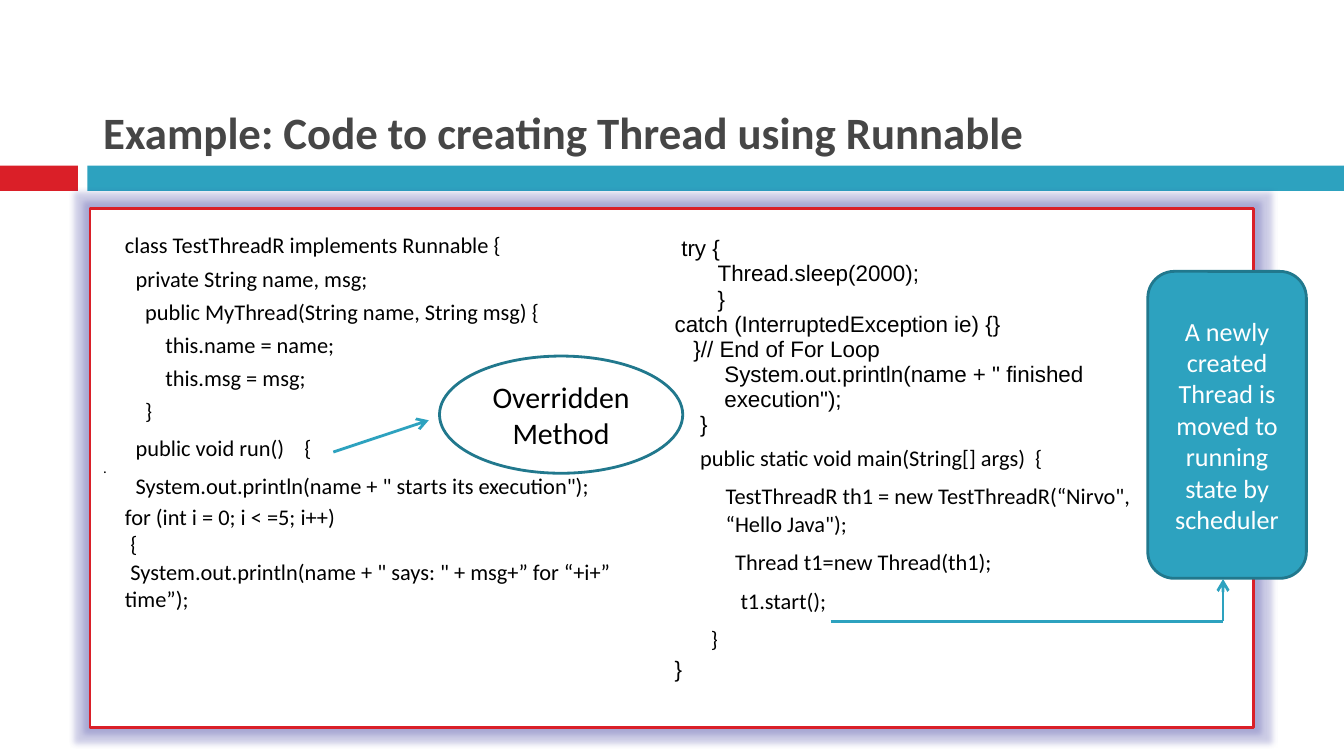
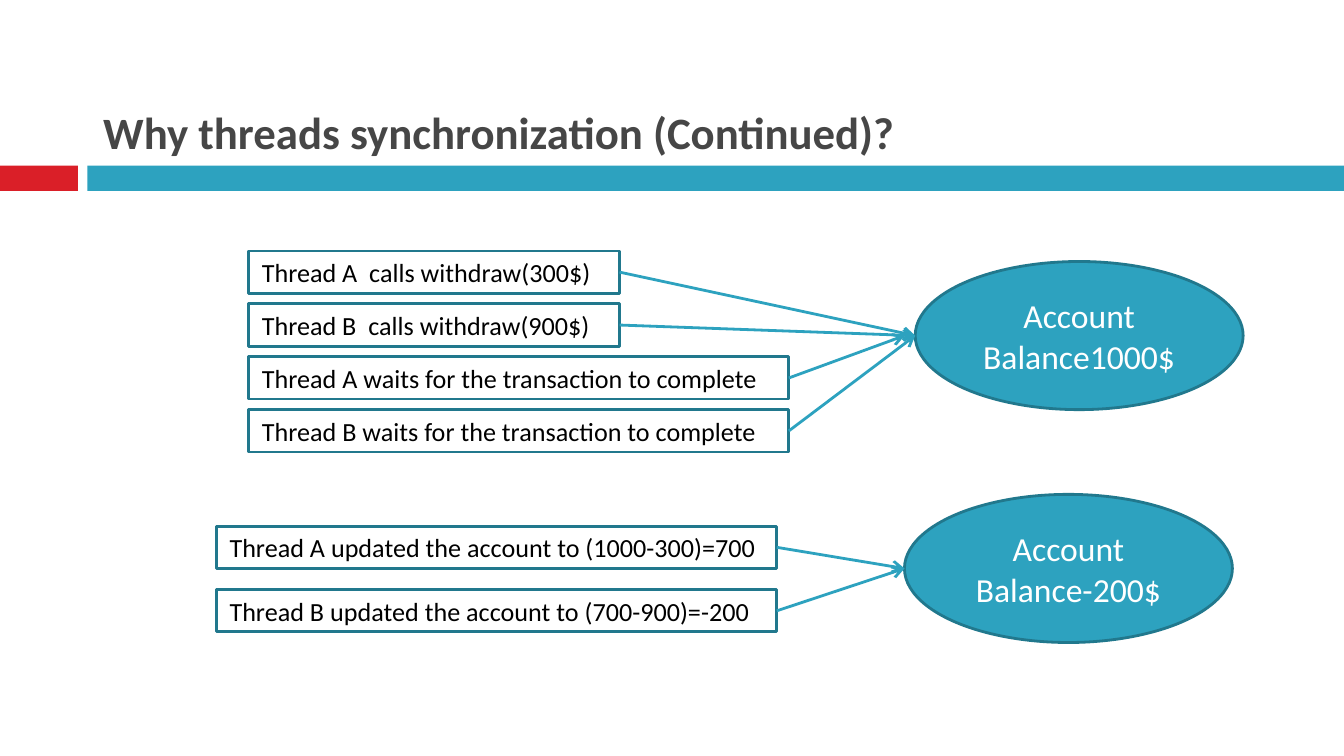
import pptx
import pptx.util
import pptx.dml.color
import pptx.enum.shapes
import pptx.enum.text
import pptx.oxml
import pptx.oxml.ns

RED, TEAL, DARK_TEAL = "DA1F28", "2DA2BF", "21788D"
WHITE, BLACK, TITLE_GRAY = "FFFFFF", "000000", "464646"
NAMESPACE = pptx.oxml.ns.nsdecls("a")
SHAPES = pptx.enum.shapes.MSO_SHAPE
ALIGN = pptx.enum.text.PP_ALIGN
ANCHOR = pptx.enum.text.MSO_ANCHOR

presentation = pptx.Presentation()
presentation.slide_width = pptx.util.Inches(10)
presentation.slide_height = pptx.util.Inches(5.625)
column = presentation.slide_width / 100
row = presentation.slide_height / 100


def paint(fill, color):
    if color is None:
        fill.background()
        return
    fill.solid()
    fill.fore_color.rgb = pptx.dml.color.RGBColor.from_string(color)


def add_box(slide, kind, place, fill=None, line=None, text="", color=BLACK, anchor=ANCHOR.MIDDLE,
            alignment=ALIGN.LEFT, size=14, bold=False):
    left, top, width, height = place
    shape = slide.shapes.add_shape(kind, int(left * column), int(top * row),
                                   int(width * column), int(height * row))
    shape.shadow.inherit = False
    paint(shape.fill, fill)
    paint(shape.line.fill, line)
    if line:
        shape.line.width = pptx.util.Pt(1.5)
    if text:
        shape.text_frame.word_wrap = True
        shape.text_frame.vertical_anchor = anchor
        paragraph = shape.text_frame.paragraphs[0]
        paragraph.text = text
        paragraph.alignment = alignment
        font_format = {"name": "Calibri", "size": pptx.util.Pt(size), "bold": bold}
        for name, value in font_format.items():
            setattr(paragraph.runs[0].font, name, value)
        paint(paragraph.runs[0].font.fill, color)
    return shape


slides = []
for title in ("Example: Code to creating Thread using Runnable",
              "Why threads synchronization (Continued)?"):
    slide = presentation.slides.add_slide(presentation.slide_layouts[6])
    add_box(slide, SHAPES.RECTANGLE, (0, 21.9, 5.8, 3.35), RED)
    add_box(slide, SHAPES.RECTANGLE, (6.5, 21.9, 93.5, 3.35), TEAL)
    add_box(slide, SHAPES.RECTANGLE, (6.7, 2.3, 93.3, 19.6), text=title, color=TITLE_GRAY,
            anchor=ANCHOR.BOTTOM, size=24, bold=True)
    slides.append(slide)
code_slide, account_slide = slides

panel = add_box(code_slide, SHAPES.RECTANGLE, (6.7, 27.6, 86.6, 68.6), WHITE, RED, ".", size=8)
panel.text_frame.paragraphs[0].space_before = pptx.util.Pt(7)
effects = panel._element.spPr.find(pptx.oxml.ns.qn("a:effectLst"))
effects.append(pptx.oxml.parse_xml(
    f'<a:glow {NAMESPACE} rad="76200"><a:srgbClr val="39399D">'
    '<a:alpha val="25000"/></a:srgbClr></a:glow>'))

PLAIN = {"line_spacing": 1.0}
SPACED = {"line_spacing": 1.0, "space_before": pptx.util.Pt(4.2), "space_after": pptx.util.Pt(1.8)}
TIGHT = {**SPACED, "line_spacing": 0.8}
WIDE_SPACE = "\t"
code_columns = (
    (
        (0, "class TestThreadR implements Runnable {", "Calibri", TIGHT),
        (0.08, "private String name, msg;", "Calibri", TIGHT),
        (0.15, "public MyThread(String name, String msg) {", "Calibri", TIGHT),
        (0.3, "this.name = name;", "Calibri", TIGHT),
        (0.3, "this.msg = msg;", "Calibri", TIGHT),
        (0.15, "}", "Calibri", TIGHT),
        (0.08, f"public void run(){WIDE_SPACE}{{", "Calibri", SPACED),
        (0.08, 'System.out.println(name + " starts its execution");', "Calibri", SPACED),
        (0, "for (int i = 0; i < =5; i++)", "Calibri", PLAIN),
        (0.04, "{", "Calibri", PLAIN),
        (0.04, 'System.out.println(name + " says: " + msg+” for “+i+” time”);', "Calibri",
         {**PLAIN, "hanging": 0.04}),
    ),
    (
        (0.05, "try {", "Arial", PLAIN),
        (0.32, "Thread.sleep(2000);", "Arial", PLAIN),
        (0.32, "}", "Arial", PLAIN),
        (0, "catch (InterruptedException ie) {}", "Arial", PLAIN),
        (0.14, "}// End of For Loop", "Arial", PLAIN),
        (0.37, 'System.out.println(name + " finished', "Arial", PLAIN),
        (0.37, 'execution");', "Arial", PLAIN),
        (0.19, "}", "Arial", PLAIN),
        (0.19, "public static void main(String[] args)  {", "Calibri", SPACED),
        (0.38, 'TestThreadR th1 = new TestThreadR(“Nirvo", “Hello Java");', "Calibri", SPACED),
        (0.45, "Thread t1=new Thread(th1);", "Calibri", SPACED),
        (0.49, "t1.start();", "Calibri", SPACED),
        (0.27, "}", "Calibri", SPACED),
        (0, "}", "Arial", PLAIN),
    ),
)
table_frame = code_slide.shapes.add_table(1, 2, int(8.3 * column), int(30.4 * row),
                                          int(77.1 * column), int(62.9 * row))
table = table_frame.table
table.first_row = table.horz_banding = False
for index, (width, code_lines) in enumerate(zip((40.9, 36.2), code_columns)):
    table.columns[index].width = int(width * column)
    cell = table.cell(0, index)
    paint(cell.fill, None)
    cell.text = "\n" * (len(code_lines) - 1)
    for paragraph, (indent, text, font_name, spacing) in zip(cell.text_frame.paragraphs, code_lines):
        for name, value in spacing.items():
            if name != "hanging":
                setattr(paragraph, name, value)
        properties = paragraph._p.get_or_add_pPr()
        hanging = spacing.get("hanging", 0)
        properties.set("marL", str(pptx.util.Inches(indent - hanging)))
        properties.set("indent", str(pptx.util.Inches(hanging)))
        for piece in filter(None, text.partition(WIDE_SPACE)):
            run = paragraph.add_run()
            run.text = piece.replace(WIDE_SPACE, " ")
            for name, value in {"name": font_name, "size": pptx.util.Pt(12)}.items():
                setattr(run.font, name, value)
            paint(run.font.fill, BLACK)
            if piece == WIDE_SPACE:
                run._r.get_or_add_rPr().set("spc", "800")

add_box(code_slide, SHAPES.OVAL, (32.7, 47.1, 18.1, 15.5), None, DARK_TEAL,
        "Overridden Method", alignment=ALIGN.CENTER, size=16)
add_box(code_slide, SHAPES.ROUNDED_RECTANGLE, (85.4, 35.9, 11.8, 40.6), TEAL, DARK_TEAL,
        "A newly created Thread is moved to running state by scheduler", WHITE,
        alignment=ALIGN.CENTER)

connections = [
    (code_slide, None, (24.8, 59.8), (31.9, 55.6), True),
    (code_slide, None, (61.8, 82.2), (91, 82.2), False),
    (code_slide, None, (91, 82.2), (91, 76.6), True),
]
account_groups = (
    (18.5, 33.2, 7, (68.1, 34.6), "Account Balance1000$", (
        ("Thread A  calls withdraw(300$)", 27.6, 68.1),
        ("Thread B  calls withdraw(900$)", 27.6, 68.1),
        ("Thread A waits for the transaction to complete", 40.2, 67.3),
        ("Thread B waits for the transaction to complete", 40.2, 68.1))),
    (16.1, 69.6, 8.4, (67.3, 65.4), "Account Balance-200$", (
        ("Thread A updated the account to (1000-300)=700", 41.7, 67.3),
        ("Thread B updated the account to (700-900)=-200", 41.7, 67.3))),
)
for left, top, step, (account_left, account_top), balance, thread_steps in account_groups:
    for index, (text, width, arrow_end) in enumerate(thread_steps):
        thread_box = add_box(account_slide, SHAPES.RECTANGLE, (left, top + index * step, width, 5.6),
                             WHITE, DARK_TEAL, text)
        connections.append((account_slide, thread_box, (left + width, top + index * step + 2.8),
                            (arrow_end, account_top + 9.8), True))
    add_box(account_slide, SHAPES.OVAL, (account_left, account_top, 24.4, 19.6), TEAL, DARK_TEAL,
            balance, WHITE, alignment=ALIGN.CENTER, size=18)

for slide, source, start, end, has_arrow in connections:
    connector = slide.shapes.add_connector(
        pptx.enum.shapes.MSO_CONNECTOR.STRAIGHT, int(start[0] * column), int(start[1] * row),
        int(end[0] * column), int(end[1] * row))
    if source is not None:
        connector.begin_connect(source, 3)
    paint(connector.line.fill, TEAL)
    connector.line.width = pptx.util.Pt(1.5)
    if has_arrow:
        connector.line._get_or_add_ln().append(
            pptx.oxml.parse_xml(f'<a:tailEnd {NAMESPACE} type="arrow"/>'))
    connector._element.spPr.append(pptx.oxml.parse_xml(f"<a:effectLst {NAMESPACE}/>"))

presentation.save("out.pptx")
